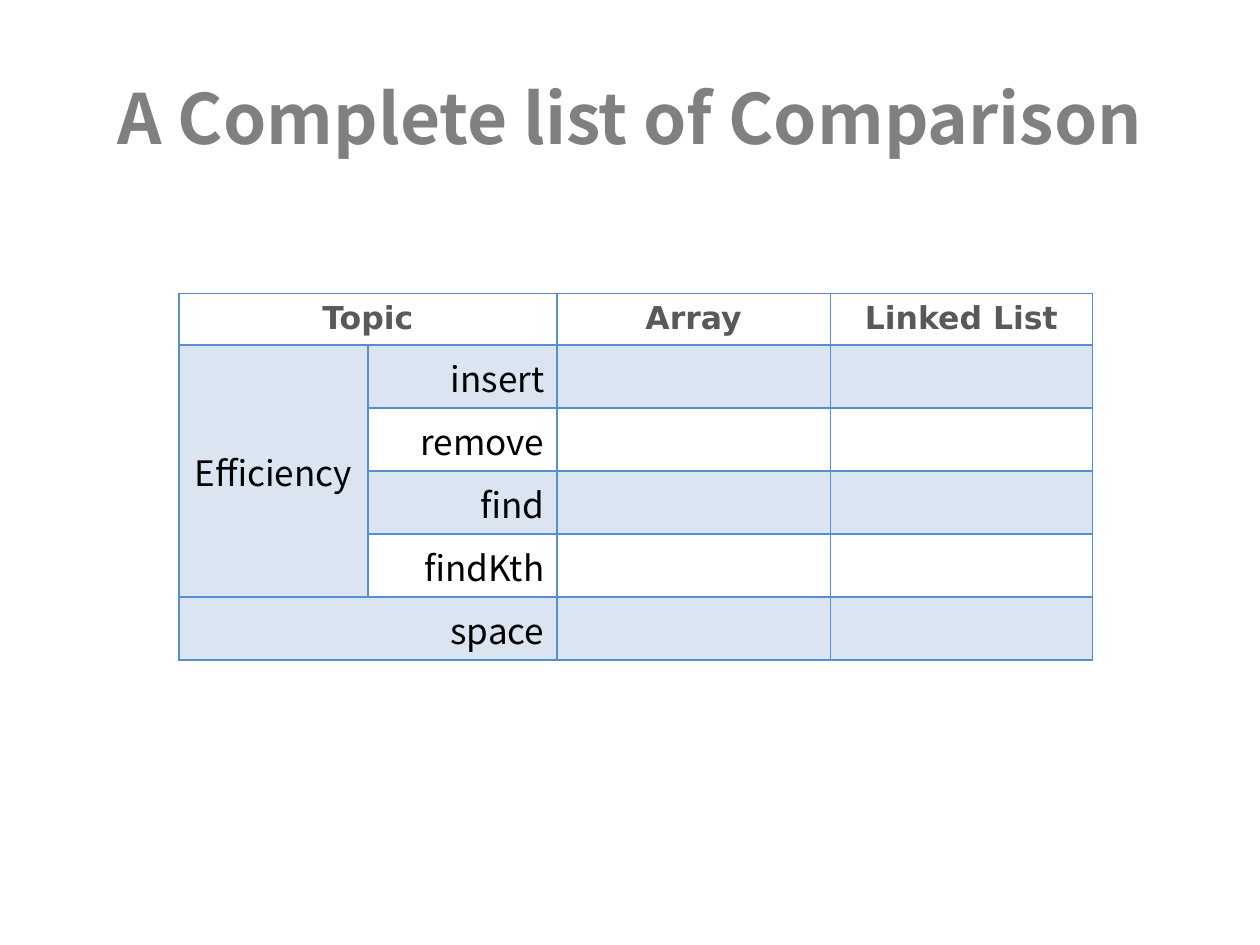
from dataclasses import dataclass

from lxml import etree
from pptx import Presentation
from pptx.dml.color import RGBColor
from pptx.enum.text import MSO_ANCHOR, PP_ALIGN
from pptx.oxml.ns import qn
from pptx.util import Inches, Pt

CENTER, RIGHT = PP_ALIGN.CENTER, PP_ALIGN.RIGHT
TOP, MIDDLE = MSO_ANCHOR.TOP, MSO_ANCHOR.MIDDLE


@dataclass(frozen=True)
class TextStyle:
    font: str
    size: float
    color: str
    bold: bool


@dataclass(frozen=True)
class Theme:
    title = TextStyle("Noto Sans CJK SC", 39.6, "808080", True)
    header = TextStyle("DejaVu Sans", 18, "595959", True)
    body = TextStyle("Noto Sans CJK SC", 20, "000000", False)
    border = "558ED5"
    border_width = Pt(1)
    band = "4F81BD"
    band_opacity = 20


THEME = Theme()
COLUMN_WIDTHS = (1.5, 1.5, 2.17, 2.08)
HEADER_HEIGHT, BODY_HEIGHT = 0.41, 0.5
HEADINGS = {0: "Topic", 2: "Array", 3: "Linked List"}
OPERATIONS = ("insert", "remove", "find", "findKth")


def write(frame, text, style, align):
    para = frame.paragraphs[0]
    para.alignment = align
    span = para.add_run()
    span.text = text
    span.font.name = style.font
    span.font.size = Pt(style.size)
    span.font.bold = style.bold
    span.font.color.rgb = RGBColor.from_string(style.color)


def add_title(page, left, top, width, height):
    box = page.shapes.add_textbox(left, top, width, height)
    frame = box.text_frame
    frame.word_wrap = True
    frame.vertical_anchor = MIDDLE
    write(frame, "A Complete list of Comparison", THEME.title, CENTER)


def outline(cell):
    properties = cell._tc.get_or_add_tcPr()
    for side in ("a:lnL", "a:lnR", "a:lnT", "a:lnB"):
        line = etree.SubElement(properties, qn(side), w=str(THEME.border_width))
        fill = etree.SubElement(line, qn("a:solidFill"))
        etree.SubElement(fill, qn("a:srgbClr"), val=THEME.border)


def shade(cell, banded):
    if not banded:
        cell.fill.background()
        return
    cell.fill.solid()
    cell.fill.fore_color.rgb = RGBColor.from_string(THEME.band)
    color = cell._tc.tcPr.find(qn("a:solidFill")).find(qn("a:srgbClr"))
    etree.SubElement(color, qn("a:alpha"), val=str(THEME.band_opacity * 1000))


def add_comparison(page, left, top, width, height):
    last = len(OPERATIONS) + 1
    table = page.shapes.add_table(
        last + 1, len(COLUMN_WIDTHS), left, top, width, height).table
    for column, column_width in zip(table.columns, COLUMN_WIDTHS):
        column.width = Inches(column_width)
    for index, row in enumerate(table.rows):
        row.height = Inches(BODY_HEIGHT if index else HEADER_HEIGHT)
        for cell in row.cells:
            outline(cell)
            shade(cell, banded=index % 2 == 1)

    def put(row, column, text, style, align, anchor=TOP):
        cell = table.cell(row, column)
        cell.vertical_anchor = anchor
        write(cell.text_frame, text, style, align)

    for row in (0, last):
        table.cell(row, 0).merge(table.cell(row, 1))
    table.cell(1, 0).merge(table.cell(last - 1, 0))

    for column, heading in HEADINGS.items():
        put(0, column, heading, THEME.header, CENTER)
    put(1, 0, "Efficiency", THEME.body, CENTER, MIDDLE)
    for row, operation in enumerate(OPERATIONS, 1):
        put(row, 1, operation, THEME.body, RIGHT)
    put(last, 0, "space", THEME.body, RIGHT)


def main():
    deck = Presentation()
    deck.slide_width, deck.slide_height = Inches(10), Inches(7.5)
    page = deck.slides.add_slide(deck.slide_layouts[6])
    add_title(page, Inches(0.5), Inches(0.3), Inches(9), Inches(1.25))
    add_comparison(page, Inches(1.42), Inches(2.33),
                   Inches(sum(COLUMN_WIDTHS)),
                   Inches(HEADER_HEIGHT + 5 * BODY_HEIGHT))
    deck.save("out.pptx")


if __name__ == "__main__":
    main()
